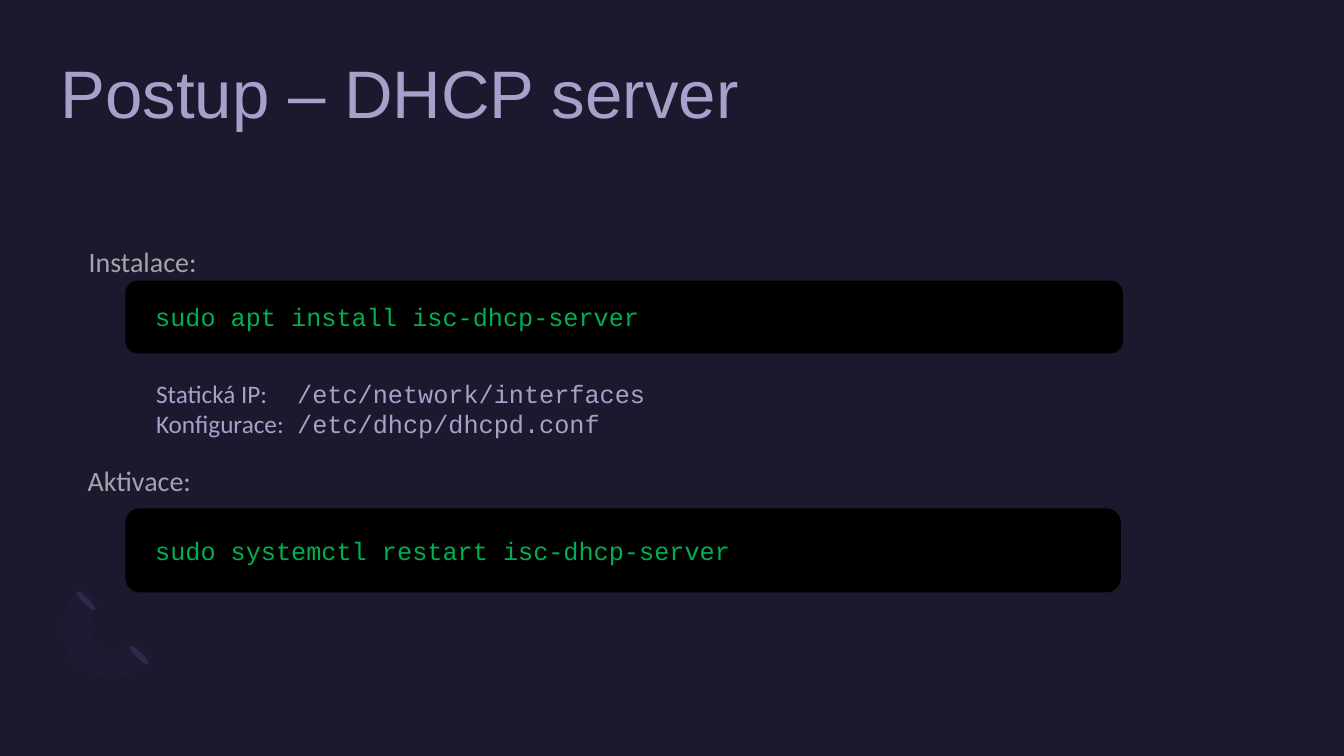
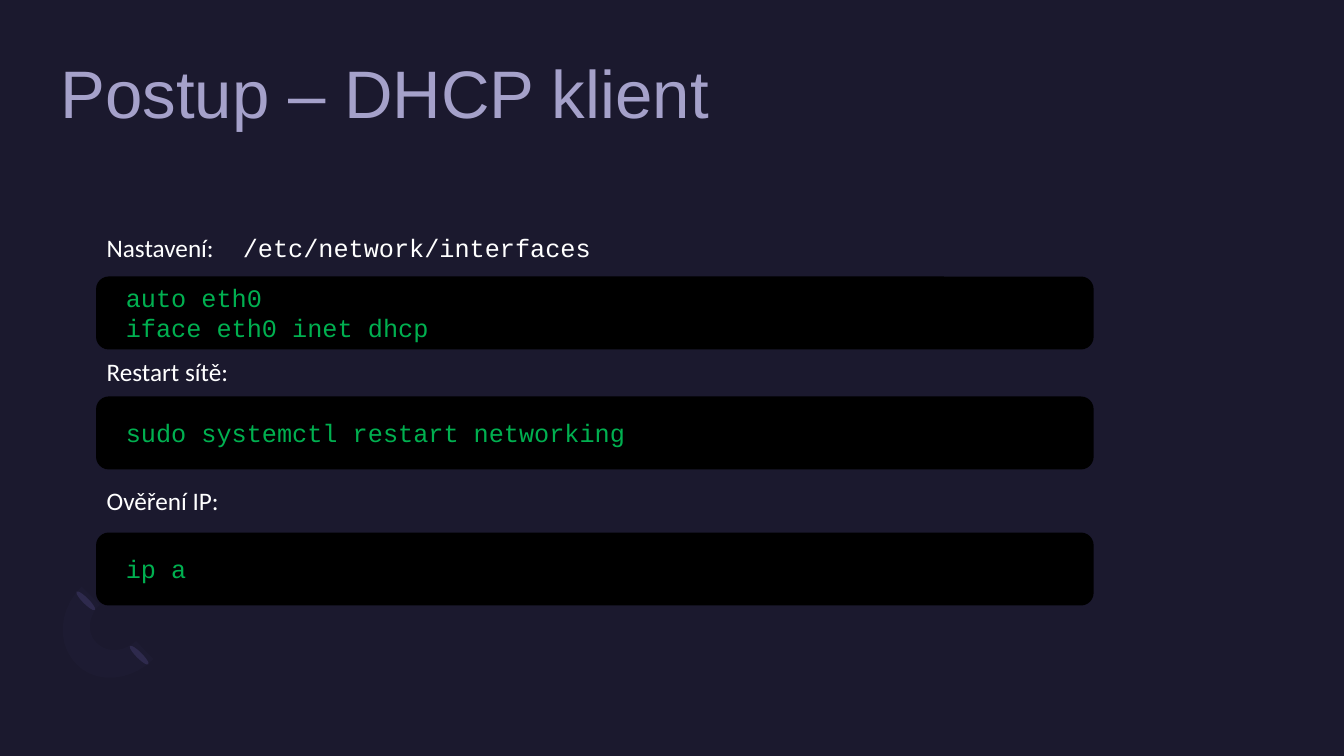
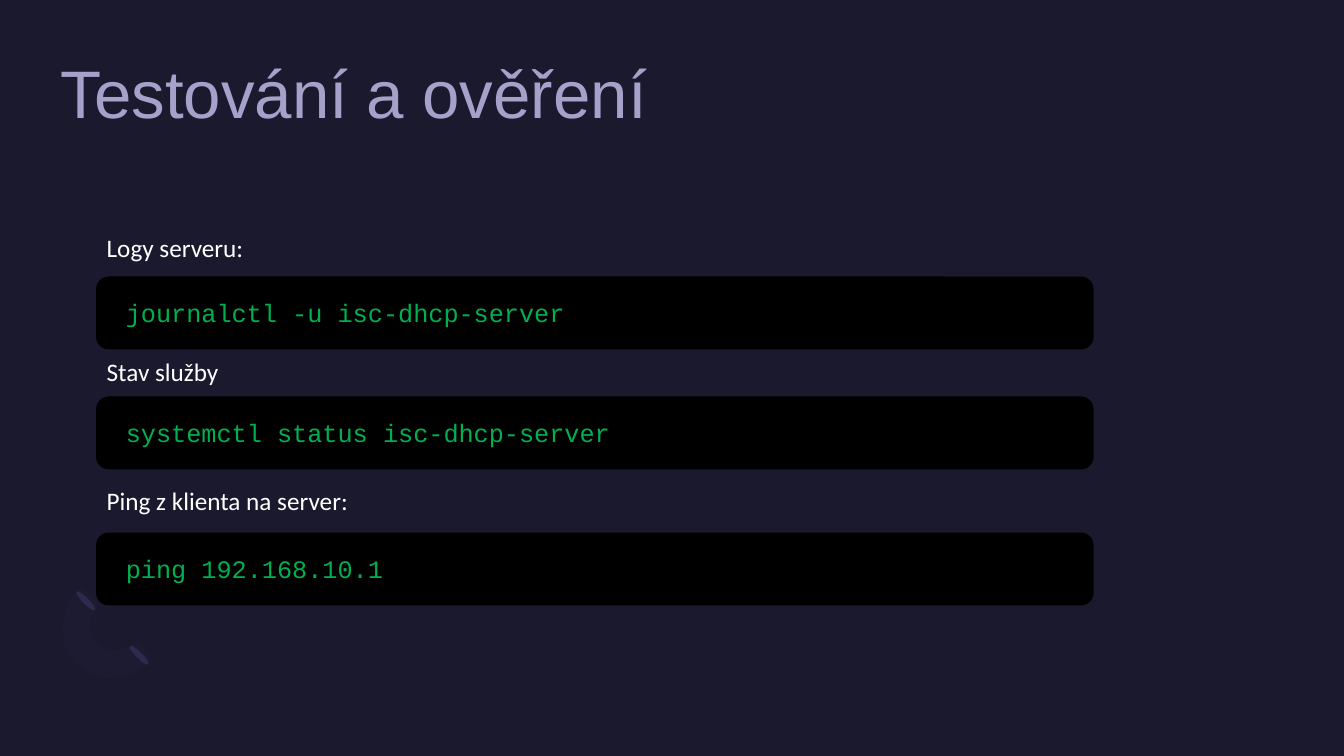
import lxml.etree
import pptx
import pptx.dml.color
import pptx.enum.shapes
import pptx.enum.text
import pptx.oxml.ns
import pptx.util

Inches = pptx.util.Inches
Pt = pptx.util.Pt
RGBColor = pptx.dml.color.RGBColor
qn = pptx.oxml.ns.qn
Preset = pptx.enum.shapes.MSO_SHAPE
AutoSize = pptx.enum.text.MSO_AUTO_SIZE

NIGHT = RGBColor(0x1B, 0x19, 0x2E)
LAVENDER = RGBColor(0xA5, 0xA1, 0xCA)
INDIGO = RGBColor(0x2C, 0x28, 0x4A)
VIOLET = RGBColor(0x77, 0x71, 0xB2)
GRAY = RGBColor(0xA4, 0xA3, 0xAB)
WHITE = RGBColor(0xFF, 0xFF, 0xFF)
BLACK = RGBColor(0x00, 0x00, 0x00)
GREEN = RGBColor(0x00, 0xB0, 0x50)

TITLE_FONT = "Arial"
BODY_FONT = "Calibri"
CODE_FONT = "Courier New"

STEP_LEFT = 0.96
LABEL_TOPS = (2.26, 3.49, 4.77)
PANEL_TOPS = (2.75, 3.94, 5.29)

ARC_START = (0.81, 5.82)
ARC_INNER = [
    ((0.99, 6), (0.87, 6.11), (0.86, 6.29), (0.96, 6.38)),
    ((0.96, 6.38), (1.06, 6.48), (1.23, 6.47), (1.35, 6.36)),
]
ARC_OUTER = [
    ((1.52, 6.54), (1.3, 6.76), (0.95, 6.79), (0.76, 6.59)),
    ((0.76, 6.59), (0.56, 6.39), (0.58, 6.05), ARC_START),
]


def curve_points(curve, steps=10):
    """Return points along a cubic Bezier curve, in EMU."""
    points = []
    for step in range(steps + 1):
        t = step / steps
        weights = ((1 - t) ** 3, 3 * t * (1 - t) ** 2, 3 * t * t * (1 - t), t ** 3)
        points.append(tuple(
            Inches(sum(w * point[axis] for w, point in zip(weights, curve)))
            for axis in (0, 1)))
    return points


def paint(shape, color, line=None):
    shape.shadow.inherit = False
    shape.fill.solid()
    shape.fill.fore_color.rgb = color
    if line is None:
        shape.line.fill.background()
    else:
        shape.line.color.rgb = line
        shape.line.width = Pt(1)


def add_ornament(slide):
    """Draw two small petals and a very faint arc; return the shapes."""
    ornament = []
    for left, top in ((1.35, 6.37), (0.82, 5.83)):
        petal = slide.shapes.add_shape(
            Preset.OVAL, Inches(left), Inches(top), Inches(0.06), Inches(0.26))
        petal.rotation = 135
        paint(petal, INDIGO)
        ornament.append(petal)
    builder = slide.shapes.build_freeform(*map(Inches, ARC_START), scale=1.0)
    for curve in ARC_INNER + ARC_OUTER:
        builder.add_line_segments(curve_points(curve), close=False)
    builder.add_line_segments([], close=True)
    arc = builder.convert_to_shape()
    paint(arc, VIOLET)
    color = arc.element.spPr.find(qn("a:solidFill"))[0]
    lxml.etree.SubElement(color, qn("a:alpha")).set("val", "3000")
    return ornament + [arc]


def prepare_layout(deck):
    """Give the title-only layout the shared background and ornament."""
    fill = deck.slide_master.background.fill
    fill.solid()
    fill.fore_color.rgb = NIGHT
    layout = deck.slide_layouts[5]
    for holder in list(layout.placeholders)[1:]:
        holder.element.getparent().remove(holder.element)
    return layout


def add_titled_slide(deck, layout, text):
    slide = deck.slides.add_slide(layout)
    title = slide.shapes.title
    title.left, title.top = Inches(0.6), Inches(0.6)
    title.width, title.height = Inches(12.13), Inches(1.46)
    frame = title.text_frame
    frame.text = text
    frame.auto_size = AutoSize.NONE
    frame.vertical_anchor = pptx.enum.text.MSO_ANCHOR.TOP
    frame.margin_left = frame.margin_top = frame.margin_right = frame.margin_bottom = 0
    para = frame.paragraphs[0]
    para.alignment = pptx.enum.text.PP_ALIGN.LEFT
    para.line_spacing = 0.9
    style(para.runs[0], TITLE_FONT, 48, LAVENDER)
    return slide


def style(span, font, size, color):
    span.font.name = font
    span.font.size = Pt(size)
    span.font.color.rgb = color


def text_height(lines):
    return 0.09 + 0.31 * len(lines)


def add_text(slide, left, top, width, lines, color, size=18, tab=None):
    """Add lines of text, each a list of (text, font) spans."""
    box = slide.shapes.add_textbox(
        Inches(left), Inches(top), Inches(width), Inches(text_height(lines)))
    frame = box.text_frame
    frame.word_wrap = True
    frame.auto_size = AutoSize.SHAPE_TO_FIT_TEXT
    for index, line in enumerate(lines):
        para = frame.add_paragraph() if index else frame.paragraphs[0]
        for text, font in line:
            span = para.add_run()
            span.text = text
            style(span, font, size, color)
        if tab is not None:
            stops = lxml.etree.SubElement(
                para._p.get_or_add_pPr(), qn("a:tabLst"))
            stop = lxml.etree.SubElement(stops, qn("a:tab"))
            stop.set("pos", str(Inches(tab)))
            stop.set("algn", "l")
    return box


def labelled_path(label, file):
    return [(label + "\t", BODY_FONT), (file, CODE_FONT)]


def add_command(slide, left, top, commands, width=9.88, height=0.71):
    """Add a black panel with its commands centred in height."""
    panel = slide.shapes.add_shape(
        Preset.ROUNDED_RECTANGLE,
        Inches(left), Inches(top), Inches(width), Inches(height))
    paint(panel, BLACK, BLACK)
    lines = [[(command, CODE_FONT)] for command in commands]
    text_top = top + (height - text_height(lines)) / 2
    add_text(slide, left + 0.19, text_top, 9.51, lines, GREEN)


def add_steps(slide, steps):
    for label_top, panel_top, (label, commands) in zip(LABEL_TOPS, PANEL_TOPS, steps):
        add_text(slide, STEP_LEFT, label_top, 6.97, [label], WHITE, tab=1.35)
        add_command(slide, STEP_LEFT, panel_top, commands)


def add_server_content(slide):
    add_command(slide, 1.25, 2.79, ["sudo apt install isc-dhcp-server"])
    add_text(slide, 1.45, 3.7, 6.97, [
        labelled_path("Statická IP:", "/etc/network/interfaces"),
        labelled_path("Konfigurace:", "/etc/dhcp/dhcpd.conf"),
    ], LAVENDER, tab=1.4)
    add_command(slide, 1.25, 5.05, ["sudo systemctl restart isc-dhcp-server"],
                width=9.86, height=0.82)
    for left, top, heading in ((0.78, 2.38, "Instalace:"), (0.77, 4.55, "Aktivace:")):
        add_text(slide, left, top, 5.39, [[(heading, BODY_FONT)]], GRAY, size=20)


def main():
    deck = pptx.Presentation()
    deck.slide_width, deck.slide_height = Inches(13.33), Inches(7.5)
    layout = prepare_layout(deck)

    server = add_titled_slide(deck, layout, "Postup – DHCP server")
    for shape in add_ornament(server):
        layout.shapes.element.append(shape.element)
    add_server_content(server)

    client = add_titled_slide(deck, layout, "Postup – DHCP klient")
    add_steps(client, [
        (labelled_path("Nastavení:", "/etc/network/interfaces"),
         ["auto eth0", "iface eth0 inet dhcp"]),
        ([("Restart sítě:", BODY_FONT)], ["sudo systemctl restart networking"]),
        ([("Ověření IP:", BODY_FONT)], ["ip a"]),
    ])

    testing = add_titled_slide(deck, layout, "Testování a ověření")
    add_steps(testing, [
        ([("Logy serveru:", BODY_FONT)], ["journalctl -u isc-dhcp-server"]),
        ([("Stav služby", BODY_FONT)], ["systemctl status isc-dhcp-server"]),
        ([("Ping z klienta na server:", BODY_FONT)], ["ping 192.168.10.1"]),
    ])
    deck.save("out.pptx")


if __name__ == "__main__":
    main()
